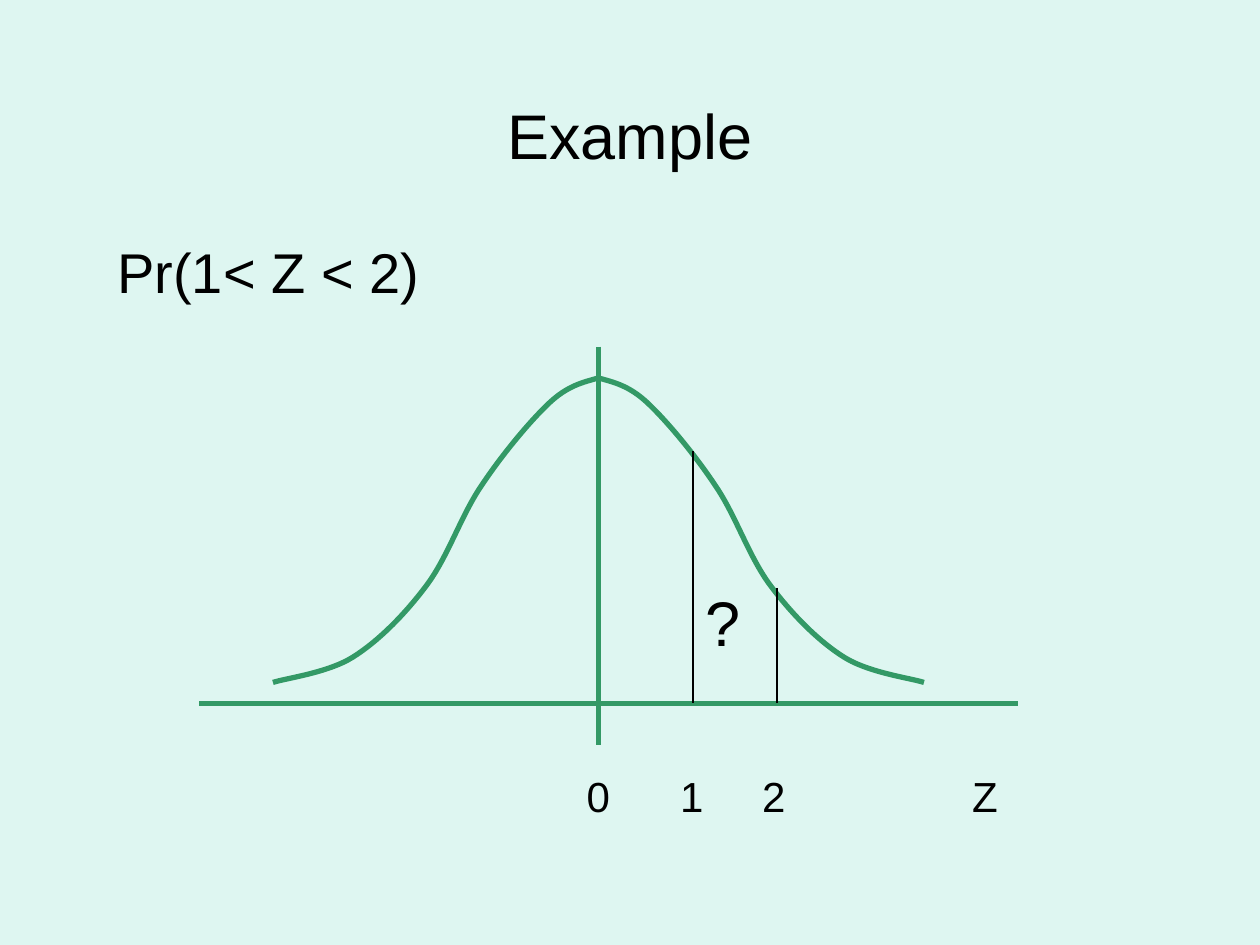
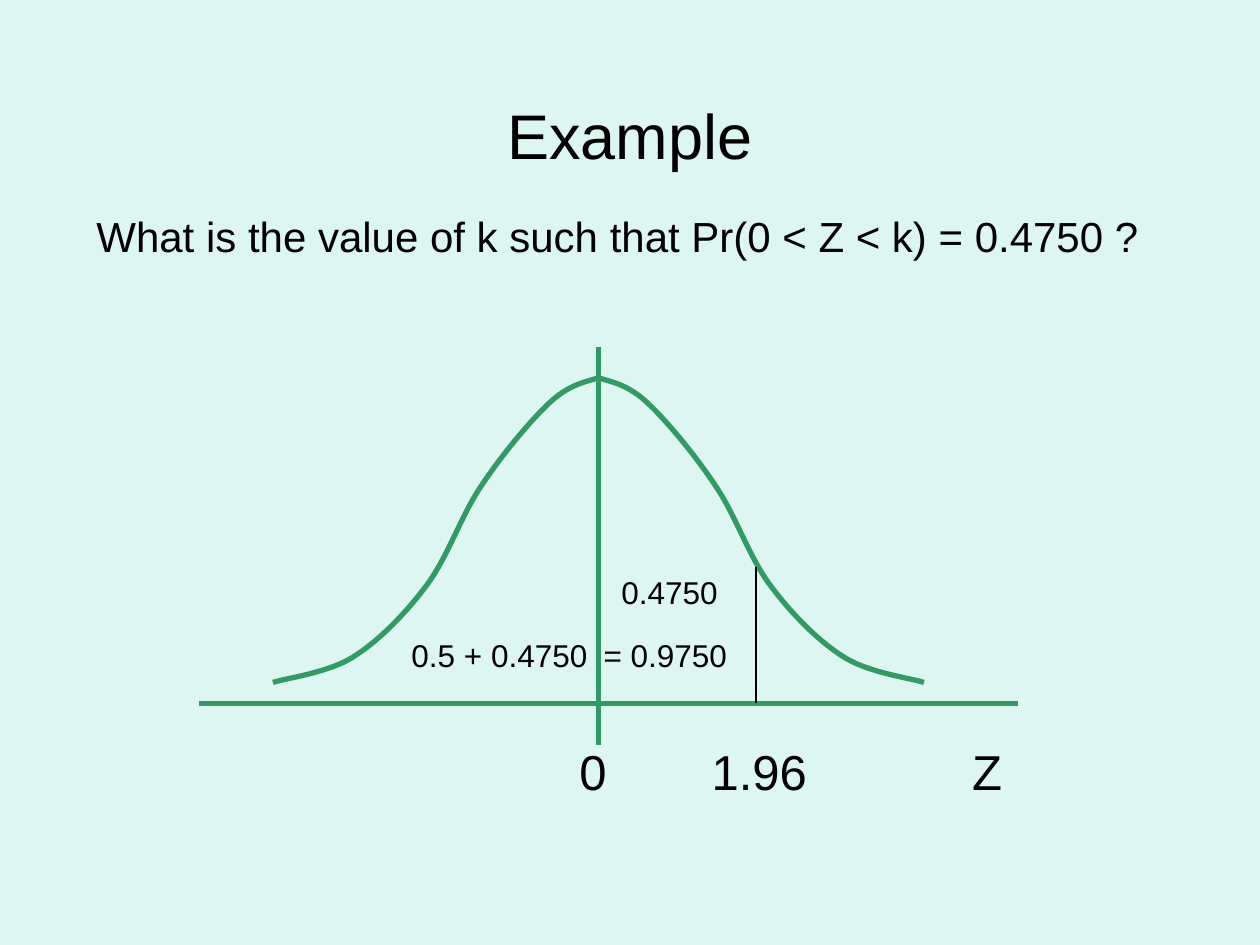
import pptx
import pptx.util
import pptx.dml.color
import pptx.enum.shapes
import pptx.enum.text
from lxml import etree

# Grid: 120 columns by 90 rows on a 10 x 7.5 inch slide
COLS, ROWS = 120, 90
WIDTH, HEIGHT = pptx.util.Inches(10), pptx.util.Inches(7.5)
CELL = WIDTH // COLS

# Diagram geometry in cells
AXIS_X, BASE_Y, PEAK_Y = 57, 67, 36
# Bezier points of the right half, as offsets from the peak
HALF_BELL = [
    (1.4, 0.4), (2.9, 0.7), (4.7, 2.4),
    (6.5, 4.1), (9.1, 7.2), (11.1, 10.2),
    (13.1, 13.1), (14.3, 17), (16.4, 19.8),
    (18.5, 22.6), (21, 25.1), (23.4, 26.6),
    (25.8, 28.1), (29.8, 28.6), (31, 29),
]


def color(hex_string):
    return pptx.dml.color.RGBColor.from_string(hex_string)


def grid(*cells):
    return [round(c * CELL) for c in cells]


class Deck:
    font, ink, green, ground = "Arial", "000000", "339966", "DEF6F1"

    def __init__(self):
        self.prs = pptx.Presentation()
        self.prs.slide_width, self.prs.slide_height = WIDTH, HEIGHT

    def slide(self, title):
        self.s = self.prs.slides.add_slide(self.prs.slide_layouts[6])
        fill = self.s.background.fill
        fill.solid()
        fill.fore_color.rgb = color(self.ground)
        self.text(title, (6, 3.6, 108, 18.4), 36, centered=True)

    def text(self, words, box, size, tabs=(), centered=False, spacing=None):
        """Tabs are slide columns where the parts after each tab begin."""
        sp = self.s.shapes.add_textbox(*grid(*box))
        tf = sp.text_frame
        tf.word_wrap = True
        p = tf.paragraphs[0]
        p.text = words
        if centered:
            tf.vertical_anchor = pptx.enum.text.MSO_ANCHOR.MIDDLE
            p.alignment = pptx.enum.text.PP_ALIGN.CENTER
        if spacing:
            p.line_spacing = spacing
        if tabs:
            ns = "{http://schemas.openxmlformats.org/drawingml/2006/main}"
            tab_list = etree.SubElement(p._p.get_or_add_pPr(), ns + "tabLst")
            for column in tabs:
                pos = grid(column - box[0])[0] - tf.margin_left
                etree.SubElement(tab_list, ns + "tab", pos=str(pos), algn="l")
        p.font.name = self.font
        p.font.size = pptx.util.Pt(size)
        p.font.color.rgb = color(self.ink)

    def line(self, start, end, hex_string=ink, width=0.75, parent=None):
        shapes = (parent or self.s).shapes
        sp = shapes.add_connector(pptx.enum.shapes.MSO_CONNECTOR.STRAIGHT,
                                  *grid(*start, *end))
        sp.line.color.rgb = color(hex_string)
        sp.line.width = pptx.util.Pt(width)
        props = sp._element.spPr
        etree.SubElement(props, props.tag.replace("presentationml", "drawingml")
                         .rsplit("}", 1)[0] + "}effectLst")

    def half_bell(self, group, side):
        points = [grid(AXIS_X + side * dx, PEAK_Y + dy) for dx, dy in HALF_BELL]
        builder = group.shapes.build_freeform(*grid(AXIS_X, PEAK_Y))
        builder.add_line_segments(points, close=False)
        sp = builder.convert_to_shape()
        sp.shadow.inherit = False
        sp.fill.background()
        sp.line.color.rgb = color(self.green)
        sp.line.width = pptx.util.Pt(3)
        # Join every three straight segments into one cubic curve
        segments = sp._element.xpath(".//a:lnTo")
        for i in range(0, len(segments), 3):
            curve, *others = segments[i:i + 3]
            cubic = etree.Element(curve.tag.replace("lnTo", "cubicBezTo"))
            curve.addprevious(cubic)
            for segment in (curve, *others):
                cubic.append(segment[0])
                segment.getparent().remove(segment)

    def bell(self):
        group = self.s.shapes.add_group_shape()
        for side in (1, -1):
            self.half_bell(group, side)
        self.line((AXIS_X, 33), (AXIS_X, 71), self.green, 3, group)
        self.line((19, BASE_Y), (97, BASE_Y), self.green, 3, group)

    def bound(self, column, top):
        self.line((column, top), (column, BASE_Y))


def main():
    deck = Deck()

    # Area between two values
    deck.slide("Example")
    deck.text("Pr(1< Z < 2)", (10, 22, 101, 14), 32)
    deck.bell()
    deck.bound(74, 56)
    deck.bound(66, 43)
    deck.text("0\t1\t2\tZ", (54.7, 72.8, 46.3, 6), 24, tabs=(64.8, 72.6, 92.6))
    deck.text("?", (66, 55, 5.2, 8.4), 36)

    # Value for a given area
    deck.slide("Example")
    deck.text("What is the value of k such that Pr(0 < Z < k) = 0.4750 ?",
              (8, 20, 104, 9), 24, spacing=0.9)
    deck.bell()
    deck.bound(72, 54)
    deck.text("0\t1.96\tZ", (54, 70, 52, 6.8), 28, tabs=(67.8, 92.6))
    deck.text("0.4750", (58, 54, 12, 4.8), 18)
    deck.text("0.5 + 0.4750\t= 0.9750", (38, 60, 34, 4.8), 18, tabs=(57.5,))

    deck.prs.save("out.pptx")


if __name__ == "__main__":
    main()
